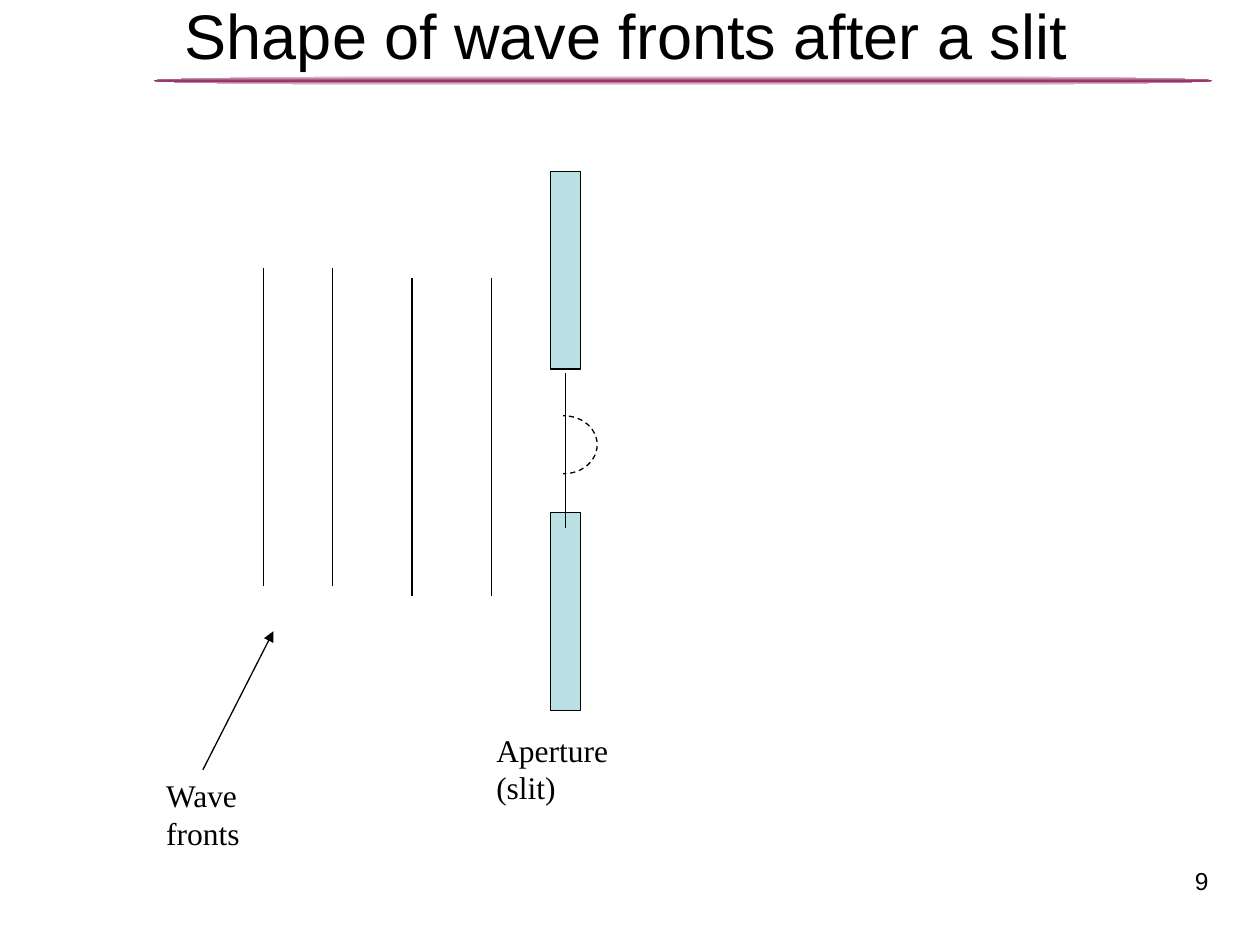
from copy import deepcopy
from dataclasses import dataclass

from lxml import etree
from pptx import Presentation, util as u
from pptx.dml.color import RGBColor
from pptx.enum import dml, shapes, text
from pptx.oxml.ns import qn


@dataclass(frozen=True)
class Theme:
    ink: str = "000000"
    paper: str = "FFFFFF"
    barrier: str = "BBE0E3"
    accent: str = "993366"
    heading_font: str = "Arial"
    label_font: str = "Times New Roman"
    title_size: float = 36
    label_size: float = 18
    number_size: float = 14
    line_width: float = 0.75


class WaveSlide:
    COLUMNS, ROWS = 100, 75

    def __init__(self, deck, theme):
        self.theme = theme
        self.column = deck.slide_width / self.COLUMNS
        self.row = deck.slide_height / self.ROWS
        self.slide = deck.slides.add_slide(deck.slide_layouts[5])

    def place(self, left, top, width, height):
        return [u.Emu(round(value * unit)) for value, unit in
                zip((left, top, width, height), (self.column, self.row) * 2)]

    def set_words(self, frame, words, font, size, align):
        frame.text = words
        frame.word_wrap = True
        frame.auto_size = text.MSO_AUTO_SIZE.NONE
        frame.vertical_anchor = text.MSO_ANCHOR.TOP
        paragraph = frame.paragraphs[0]
        paragraph.alignment = align
        for run in paragraph.runs:
            run.font.name = font
            run.font.size = u.Pt(size)
            run.font.color.rgb = RGBColor.from_string(self.theme.ink)

    def title(self, words, *box):
        heading = self.slide.shapes.title
        heading.left, heading.top, heading.width, heading.height = self.place(*box)
        self.set_words(heading.text_frame, words, self.theme.heading_font,
                       self.theme.title_size, text.PP_ALIGN.CENTER)

    def label(self, words, *box):
        caption = self.slide.shapes.add_textbox(*self.place(*box))
        caption.text_frame.margin_right = u.Inches(0.2)
        self.set_words(caption.text_frame, words, self.theme.label_font,
                       self.theme.label_size, text.PP_ALIGN.LEFT)

    def page_number(self, number, *box):
        corner = self.slide.shapes.add_textbox(*self.place(*box))
        self.set_words(corner.text_frame, number, self.theme.heading_font,
                       self.theme.number_size, text.PP_ALIGN.RIGHT)

    def shape(self, preset, box, fill=None, line=None, dash=None):
        figure = self.slide.shapes.add_shape(preset, *self.place(*box))
        figure.shadow.inherit = False
        if fill:
            figure.fill.solid()
            figure.fill.fore_color.rgb = RGBColor.from_string(fill)
        else:
            figure.fill.background()
        if line:
            self.stroke(figure.line, line)
            figure.line.dash_style = dash
        else:
            figure.line.fill.background()
        return figure

    def stroke(self, outline, color):
        outline.color.rgb = RGBColor.from_string(color)
        outline.width = u.Pt(self.theme.line_width)

    def glowing_rule(self, *box):
        rule = self.shape(shapes.MSO_SHAPE.OVAL, box)
        rule.fill.gradient()
        rule.fill.gradient_angle = 90
        stops = rule.element.spPr.find(qn("a:gradFill")).find(qn("a:gsLst"))
        stops.append(deepcopy(stops[-1]))
        colors = (self.theme.paper, self.theme.accent, self.theme.paper)
        for stop, color, position in zip(rule.fill.gradient_stops, colors, (0, 0.5, 1)):
            stop.color.rgb = RGBColor.from_string(color)
            stop.position = position

    def line(self, start, end, arrow=False):
        stroke = self.slide.shapes.add_connector(
            shapes.MSO_CONNECTOR.STRAIGHT, *self.place(*start, *end))
        self.stroke(stroke.line, self.theme.ink)
        properties = stroke.element.spPr
        if arrow:
            etree.SubElement(properties.find(qn("a:ln")), qn("a:tailEnd"), type="triangle")
        etree.SubElement(properties, qn("a:effectLst"))


def main():
    deck = Presentation()
    deck.slide_width, deck.slide_height = u.Inches(10), u.Inches(7.5)
    theme = Theme()
    scene = WaveSlide(deck, theme)
    rectangle, oval = shapes.MSO_SHAPE.RECTANGLE, shapes.MSO_SHAPE.OVAL

    scene.glowing_rule(12.2, 6, 84, 0.8)
    scene.page_number("9", 73.6, 68.2, 23.3, 4.5)
    scene.title("Shape of wave fronts after a slit", 4.7, -0.8, 90, 12.5)

    front_height = 25.2
    for front, top in ((20.9, 21.3), (26.4, 21.3), (32.7, 22.1), (39, 22.1)):
        scene.line((front, top), (front, top + front_height))

    for barrier_top in (13.6, 40.7):
        scene.shape(rectangle, (43.7, barrier_top, 2.4, 15.7), theme.barrier, theme.ink)
    scene.line((44.9, 29.6), (44.9, 41.9))
    scene.label("Aperture (slit)", 38.4, 57.5, 15.8, 4)

    scene.line((16.1, 61.1), (21.7, 50.1), arrow=True)
    scene.label("Wave fronts", 12.2, 61.1, 13.8, 4)

    scene.shape(oval, (42.1, 33, 5.3, 4.6), line=theme.ink, dash=dml.MSO_LINE.DASH)
    scene.shape(rectangle, (41.9, 32.3, 2.7, 5.5), theme.paper, theme.paper)

    deck.save("out.pptx")


if __name__ == "__main__":
    main()
